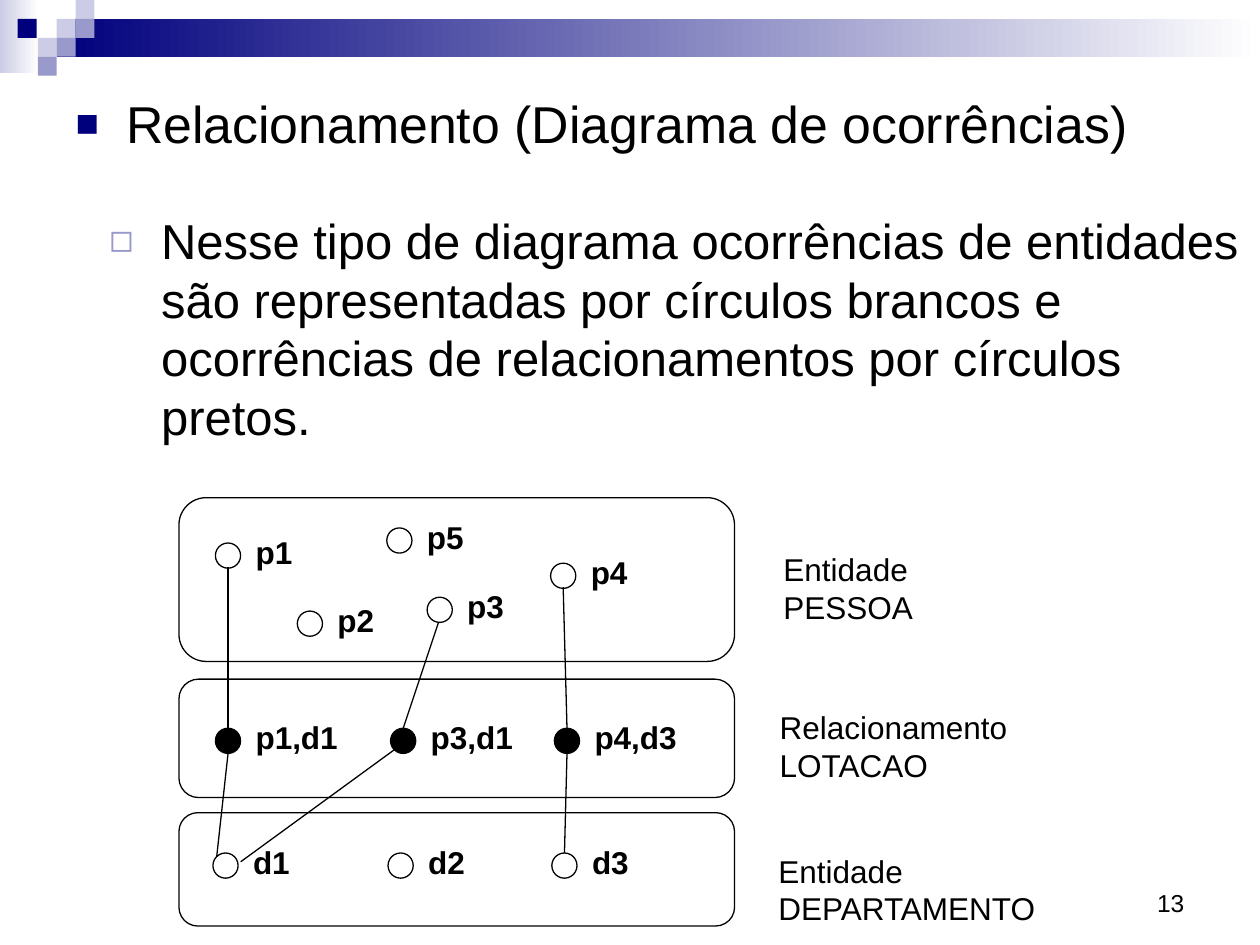
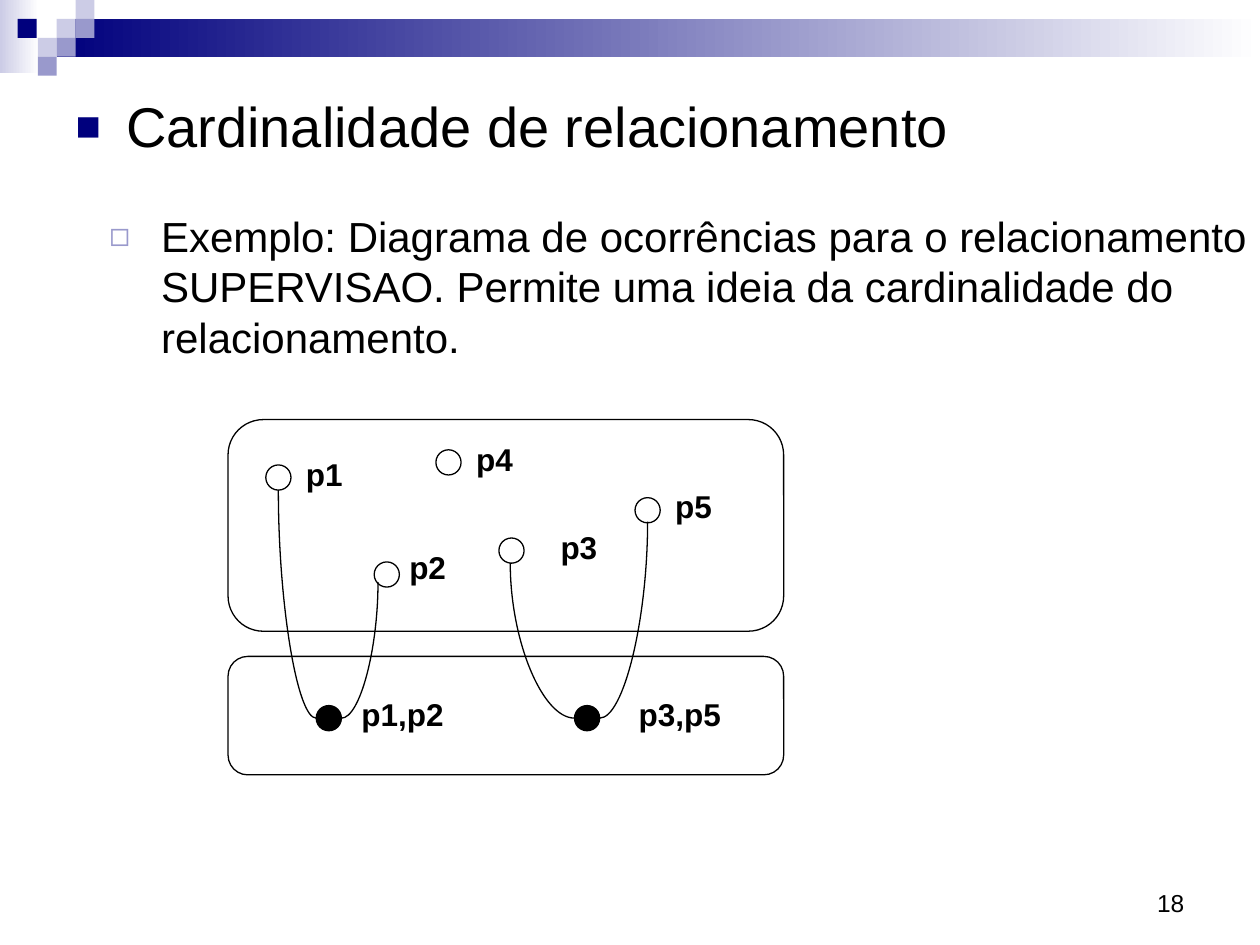
"""Build two slides with occurrence diagrams of entities and relationships."""
from lxml.etree import SubElement
from pptx import Presentation
from pptx.dml.color import RGBColor
from pptx.enum.shapes import MSO_CONNECTOR, MSO_SHAPE
from pptx.enum.text import MSO_ANCHOR, MSO_AUTO_SIZE, PP_ALIGN
from pptx.oxml.ns import qn
from pptx.util import Pt

PX = 9144
FONT = "Arial"
BLACK, WHITE = "000000", "FFFFFF"
NAVY, LILAC, PALE = "00007D", "9999CC", "CCCCE6"
DOT = 20

color = RGBColor.from_string


def add_box(slide, preset, box, fill, line=None):
    shape = slide.shapes.add_shape(preset, *[length * PX for length in box])
    shape.shadow.inherit = False
    if isinstance(fill, tuple):
        shape.fill.gradient()
        shape.fill.gradient_angle = 0
        for stop, stop_color in zip(shape.fill.gradient_stops, fill):
            stop.color.rgb = color(stop_color)
    else:
        shape.fill.solid()
        shape.fill.fore_color.rgb = color(fill)
    if line:
        shape.line.color.rgb = color(line)
        shape.line.width = Pt(0.75)
    else:
        shape.line.fill.background()
    return shape


def write(slide, text, box, size=18, bold=False, wrap=False, shape=None, level=0,
          align=PP_ALIGN.LEFT, anchor=MSO_ANCHOR.TOP, before=0, bullet=None):
    left, top, width, height = [length * PX for length in box]
    shape = shape or slide.shapes.add_textbox(left, top, width, height)
    shape.left, shape.top, shape.width, shape.height = left, top, width, height
    frame = shape.text_frame
    frame.text = text
    frame.word_wrap = wrap
    frame.auto_size = MSO_AUTO_SIZE.NONE if wrap else MSO_AUTO_SIZE.SHAPE_TO_FIT_TEXT
    frame.vertical_anchor = anchor
    frame.margin_right = 5 * PX
    for paragraph in frame.paragraphs:
        paragraph.alignment = align
        paragraph.level = level
        paragraph.space_before = Pt(before)
        font = paragraph.runs[0].font
        font.name, font.size, font.bold = FONT, Pt(size), bold
        font.color.rgb = color(BLACK)
        if bullet:
            mark, mark_color, percent, margin, hanging = bullet
            properties = paragraph._p.get_or_add_pPr()
            properties.set("marL", str(margin * PX))
            properties.set("indent", str(-hanging * PX))
            bullet_color = SubElement(properties, qn("a:buClr"))
            SubElement(bullet_color, qn("a:srgbClr"), val=mark_color)
            SubElement(properties, qn("a:buSzPct"), val=str(percent * 1000))
            SubElement(properties, qn("a:buFont"), typeface=FONT)
            SubElement(properties, qn("a:buChar"), char=mark)


header = [
    ((0, 0, 31, 58), (PALE, WHITE)),
    ((45, 15, 955, 30), (NAVY, WHITE)),
    ((45, 15, 15, 15), PALE),
    ((60, 0, 15, 15), PALE),
    ((60, 15, 15, 15), LILAC),
    ((30, 30, 15, 15), PALE),
    ((14, 15, 15, 15), NAVY),
    ((45, 30, 15, 15), LILAC),
    ((30, 45, 15, 15), LILAC),
]

pages = [
    {
        "number": "13",
        "title": ("Relacionamento (Diagrama de ocorrências)", 29.6),
        "body": ("Nesse tipo de diagrama ocorrências de entidades são representadas por "
                 "círculos brancos e ocorrências de relacionamentos por círculos pretos.",
                 28, 7, 87),
        "sets": [(142, 395, 441, 130), (142, 539, 441, 94), (142, 645, 441, 90)],
        "dots": [
            ("p2", 236, 485, WHITE, 22, -13), ("p1", 171, 431, WHITE, 22, -13),
            ("p5", 307, 419, WHITE, 22, -13), ("p3", 339, 474, WHITE, 22, -13),
            ("p4", 437, 447, WHITE, 22, -13), ("p1,d1", 171, 578, BLACK, 22, -13),
            ("p3,d1", 310, 578, BLACK, 22, -13), ("p4,d3", 440, 578, BLACK, 22, -13),
            ("d1", 169, 677, WHITE, 22, -13), ("d2", 308, 677, WHITE, 22, -13),
            ("d3", 438, 677, WHITE, 22, -13),
        ],
        "connector": MSO_CONNECTOR.STRAIGHT,
        "links": [(181, 450, 181, 578), (348, 494, 320, 578), (447, 466, 450, 578),
                  (181, 598, 172, 680), (313, 595, 191, 684), (450, 598, 448, 677)],
        "captions": [("Entidade\nPESSOA", (612, 432, 123, 70)),
                     ("Relacionamento\nLOTACAO", (609, 557, 200, 70)),
                     ("Entidade\nDEPARTAMENTO", (608, 671, 228, 70))],
    },
    {
        "number": "18",
        "title": ("Cardinalidade de relacionamento", 32),
        "body": ("Exemplo: Diagrama de ocorrências para o relacionamento SUPERVISAO. "
                 "Permite uma ideia da cardinalidade do relacionamento.", 24, 6, 276),
        "sets": [(181, 333, 441, 168), (181, 521, 441, 94)],
        "dots": [
            ("p2", 297, 446, WHITE, 18, -16), ("p1", 211, 369, WHITE, 22, -13),
            ("p4", 346, 357, WHITE, 22, -13), ("p3", 396, 427, WHITE, 39, -13),
            ("p5", 504, 395, WHITE, 22, -13), ("p1,p2", 251, 560, BLACK, 26, -13),
            ("p3,p5", 456, 560, BLACK, 41, -13),
        ],
        "connector": MSO_CONNECTOR.CURVE,
        "links": [(251, 570, 221, 389), (271, 570, 300, 462),
                  (456, 570, 405, 447), (476, 570, 514, 414)],
        "captions": [],
    },
]

presentation = Presentation()
presentation.slide_width = 1000 * PX
presentation.slide_height = 750 * PX

for page in pages:
    slide = presentation.slides.add_slide(presentation.slide_layouts[5])
    for box, fill in header:
        add_box(slide, MSO_SHAPE.RECTANGLE, box, fill)
    write(slide, page["number"], (717, 683, 228, 50), size=14, wrap=True,
          align=PP_ALIGN.RIGHT, anchor=MSO_ANCHOR.BOTTOM)

    title, title_size = page["title"]
    write(slide, title, (50, 68, 919, 87), size=title_size, wrap=True, before=8,
          shape=slide.shapes.title, bullet=("■", NAVY, 75, 40, 40))
    body, body_size, before, height = page["body"]
    write(slide, body, (39, 162, 961, height), size=body_size, wrap=True, before=before,
          level=1, bullet=("◻", LILAC, 80, 79, 41))

    for box in page["sets"]:
        add_box(slide, MSO_SHAPE.ROUNDED_RECTANGLE, box, WHITE, BLACK)
    for label, left, top, fill, label_x, label_y in page["dots"]:
        add_box(slide, MSO_SHAPE.OVAL, (left, top, DOT, DOT), fill, BLACK)
        label_width = 85 if "," in label else 49
        write(slide, label, (left + label_x, top + label_y, label_width, 40), bold=True)

    for link in page["links"]:
        connector = slide.shapes.add_connector(page["connector"], *[end * PX for end in link])
        connector.line.color.rgb = color(BLACK)
        connector.line.width = Pt(0.75)
        properties = connector.element.spPr
        SubElement(properties, qn("a:effectLst"))
        if page["connector"] == MSO_CONNECTOR.CURVE:
            properties.find(qn("a:prstGeom")).set("prst", "curvedConnector2")

    for caption, box in page["captions"]:
        write(slide, caption, box)

presentation.save("out.pptx")
